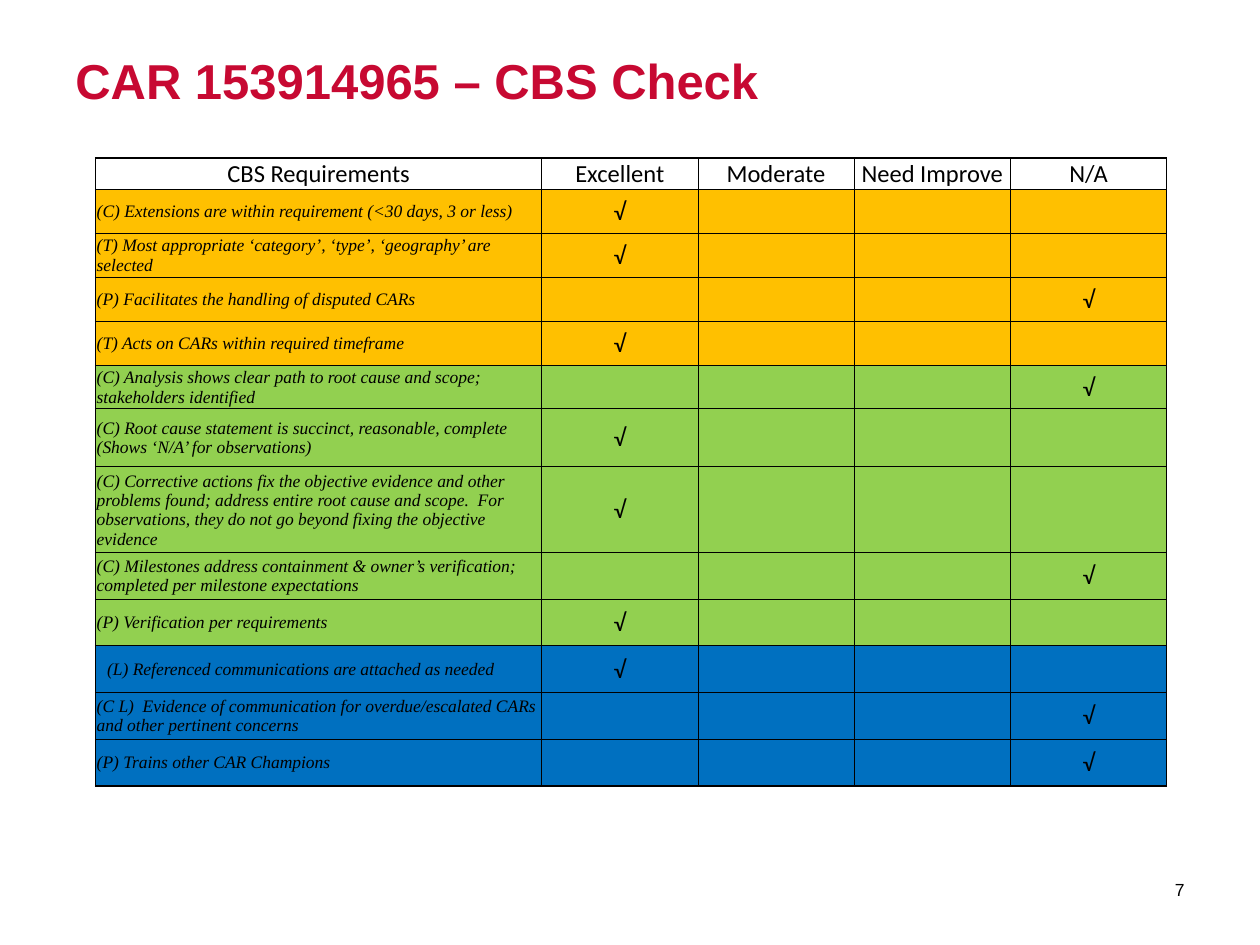
from lxml.etree import SubElement
from pptx import Presentation
from pptx.dml.color import RGBColor
from pptx.enum.text import MSO_ANCHOR, PP_ALIGN
from pptx.oxml.ns import qn
from pptx.util import Cm, Pt

COLORS = {
    "title": "C70932",
    "ink": "000000",
    "disposition": "FFC000",
    "resolution": "92D050",
    "communication": "0070C0",
}
HEADERS = ["CBS Requirements", "Excellent", "Moderate", "Need Improve", "N/A"]
COLUMN_WIDTHS = [8.99] + [3.15] * 4
HEADER_HEIGHT = 0.62
CHECK_MARK = "√"
REQUIREMENTS = [
    ("disposition", 0.89, "Excellent", "(C) Extensions are within requirement (<30 days, 3 or less)"),
    ("disposition", 0.89, "Excellent", "(T) Most appropriate ‘category’, ‘type’, ‘geography’ are selected"),
    ("disposition", 0.89, "N/A", "(P) Facilitates the handling of disputed CARs"),
    ("disposition", 0.89, "Excellent", "(T) Acts on CARs within required timeframe"),
    ("resolution", 0.87, "N/A", "(C) Analysis shows clear path to root cause and scope; stakeholders identified"),
    ("resolution", 1.17, "Excellent",
     "(C) Root cause statement is succinct, reasonable, complete (Shows ‘N/A’ for observations)"),
    ("resolution", 1.73, "Excellent",
     "(C) Corrective actions fix the objective evidence and other problems found; "
     "address entire root cause and scope.  For observations, they do not go beyond "
     "fixing the objective evidence"),
    ("resolution", 0.94, "N/A",
     "(C) Milestones address containment & owner’s verification; completed per milestone expectations"),
    ("resolution", 0.94, "Excellent", "(P) Verification per requirements"),
    ("communication", 0.94, "Excellent", "(L) Referenced communications are attached as needed"),
    ("communication", 0.94, "N/A",
     "(C L)  Evidence of communication for overdue/escalated CARs and other pertinent concerns"),
    ("communication", 0.94, "N/A", "(P) Trains other CAR Champions"),
]


def write_text(frame, text, size, font="Arial", color="ink", bold=False, italic=False,
               align=PP_ALIGN.LEFT):
    """Write one formatted paragraph into a text frame."""
    para = frame.paragraphs[0]
    para.alignment = align
    para.font.size = Pt(size)
    if not text:
        return
    span = para.add_run()
    span.text = text
    span.font.name = font
    span.font.size = Pt(size)
    span.font.bold = bold
    span.font.italic = italic
    span.font.color.rgb = RGBColor.from_string(COLORS[color])


def add_text_box(page, left, top, width, height, text, anchor=MSO_ANCHOR.TOP, **text_format):
    """Place a wrapping text box with one paragraph."""
    box = page.shapes.add_textbox(Cm(left), Cm(top), Cm(width), Cm(height))
    box.text_frame.word_wrap = True
    box.text_frame.vertical_anchor = anchor
    write_text(box.text_frame, text, **text_format)
    return box


def set_borders(cell, widths):
    """Draw the cell edges with the given widths in points."""
    properties = cell._tc.get_or_add_tcPr()
    for side, width in widths.items():
        line = SubElement(properties, qn(f"a:ln{side}"), w=str(Pt(width)))
        fill = SubElement(line, qn("a:solidFill"))
        SubElement(fill, qn("a:srgbClr"), val=COLORS["ink"])


def format_cell(cell, text, fill, borders, anchor, indent=0.02, **text_format):
    """Give a table cell its edges, fill, margins and text."""
    set_borders(cell, borders)
    if fill:
        cell.fill.solid()
        cell.fill.fore_color.rgb = RGBColor.from_string(COLORS[fill])
    else:
        cell.fill.background()
    cell.margin_left, cell.margin_right = Cm(indent), Cm(0.02)
    cell.margin_top, cell.margin_bottom = Cm(0.02), Cm(0)
    cell.vertical_anchor = anchor
    write_text(cell.text_frame, text, **text_format)


def edge_widths(row, column):
    """Return thick lines on the outer edges and thin lines inside."""
    outer = {"L": column == 0, "R": column == len(HEADERS) - 1,
             "T": row == 0, "B": row == len(REQUIREMENTS)}
    return {side: 1 if is_outer else 0.5 for side, is_outer in outer.items()}


def add_check_table(page, left, top):
    """Build the checklist table from its requirements."""
    heights = [HEADER_HEIGHT] + [height for _, height, _, _ in REQUIREMENTS]
    table = page.shapes.add_table(
        len(heights), len(HEADERS), Cm(left), Cm(top),
        Cm(sum(COLUMN_WIDTHS)), Cm(sum(heights))).table
    table.first_row = table.horz_banding = False
    for column, width in zip(table.columns, COLUMN_WIDTHS):
        column.width = Cm(width)
    for row, height in zip(table.rows, heights):
        row.height = Cm(height)

    centred = {"size": 14, "font": "Calibri", "align": PP_ALIGN.CENTER}
    for column, header in enumerate(HEADERS):
        format_cell(table.cell(0, column), header, None, edge_widths(0, column),
                    MSO_ANCHOR.BOTTOM, **centred)
    for row, (group, _, rating, requirement) in enumerate(REQUIREMENTS, start=1):
        format_cell(table.cell(row, 0), requirement, group, edge_widths(row, 0),
                    MSO_ANCHOR.MIDDLE, indent=0.23 if requirement.startswith("(L)") else 0.02,
                    size=10, font="Times New Roman", italic=True)
        for column, header in enumerate(HEADERS[1:], start=1):
            mark = CHECK_MARK if header == rating else ""
            format_cell(table.cell(row, column), mark, group, edge_widths(row, column),
                        MSO_ANCHOR.MIDDLE, **centred)


def add_title(page, left, top, width, height):
    """Place the slide title."""
    box = add_text_box(page, left, top, width, height, "CAR 153914965 – CBS Check",
                       size=28, color="title", bold=True)
    box.text_frame.margin_top = Cm(0.25)


def add_page_number(page, left, top, width, height):
    """Place the page number at the lower right."""
    add_text_box(page, left, top, width, height, "7", anchor=MSO_ANCHOR.MIDDLE,
                 size=10, align=PP_ALIGN.RIGHT)


def main():
    """Build and save the deck."""
    deck = Presentation()
    deck.slide_width, deck.slide_height = Cm(25.4), Cm(19.05)
    page = deck.slides.add_slide(deck.slide_layouts[6])
    add_title(page, 1.27, 0.76, 22.86, 3.18)
    add_page_number(page, 22.35, 17.42, 1.78, 1.02)
    add_check_table(page, 1.93, 3.19)
    deck.save("out.pptx")


if __name__ == "__main__":
    main()
